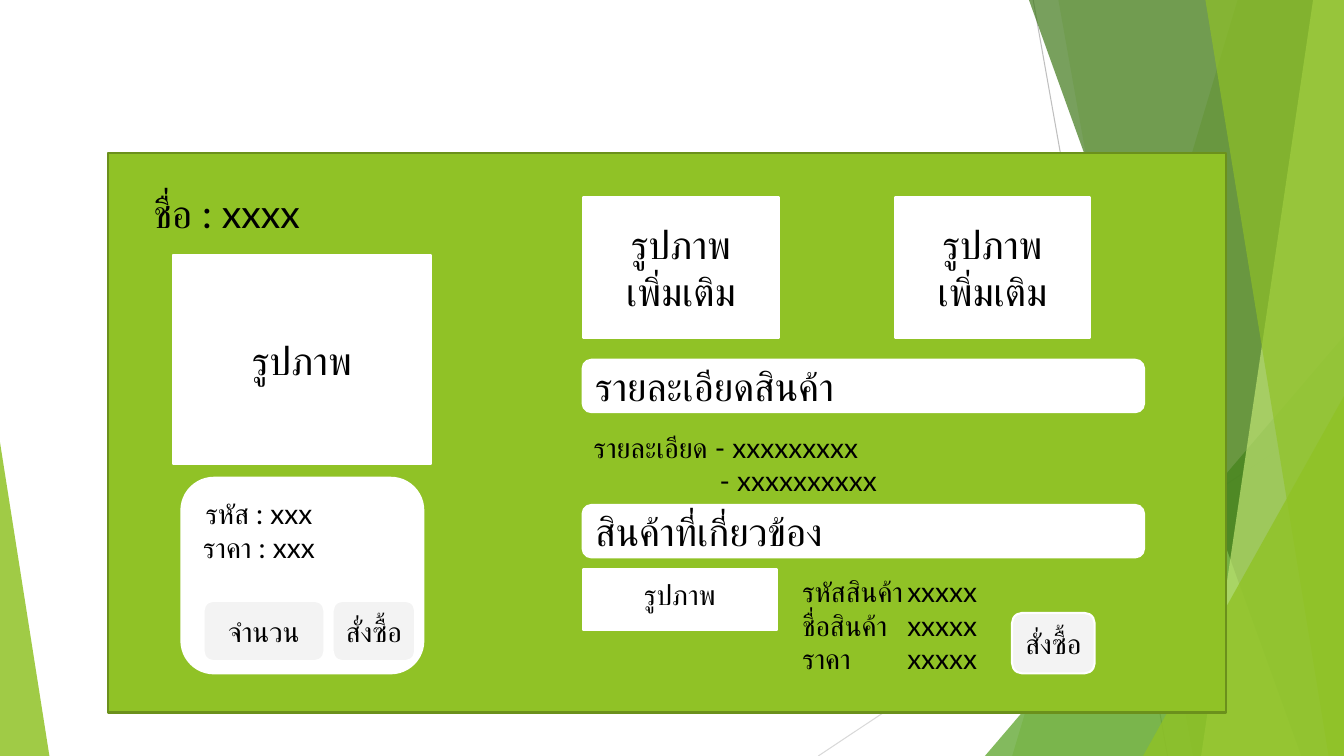
import pptx
import pptx.util
import pptx.dml.color
import pptx.enum.shapes
import pptx.enum.text
import pptx.oxml
import pptx.oxml.ns

Pt = pptx.util.Pt
RGB = pptx.dml.color.RGBColor
qn = pptx.oxml.ns.qn
KIND = pptx.enum.shapes.MSO_SHAPE
ALIGN = pptx.enum.text.PP_ALIGN
ANCHOR = pptx.enum.text.MSO_ANCHOR

WHITE = RGB(0xFF, 0xFF, 0xFF)
BLACK = RGB(0x00, 0x00, 0x00)
LIME = RGB(0x90, 0xC2, 0x26)
OLIVE = RGB(0x6B, 0x90, 0x1C)
LEAF = RGB(0x54, 0xA0, 0x21)
PINE = RGB(0x3F, 0x78, 0x19)
PALE = RGB(0xC0, 0xE4, 0x74)
MIST = RGB(0xF3, 0xF3, 0xF3)
GREY = RGB(0xBF, 0xBF, 0xBF)
SILVER = RGB(0xD9, 0xD9, 0xD9)

WIDE, HIGH = 960, 540
BIG, SMALL = 28, 20


class Page:
    """Draw styled elements on one slide, with lengths in points."""

    def __init__(self, slide, font="Lato"):
        self.shapes = slide.shapes
        self.font = font

    def line(self, x1, y1, x2, y2, color):
        line = self.shapes.add_connector(
            pptx.enum.shapes.MSO_CONNECTOR.STRAIGHT, Pt(x1), Pt(y1), Pt(x2), Pt(y2))
        line.line.color.rgb = color
        line.line.width = Pt(0.75)
        props = line._element.spPr
        props.append(props.makeelement(qn("a:effectLst")))

    def paint(self, shape, fill, edge=None, alpha=100):
        shape.shadow.inherit = False
        shape.fill.solid()
        shape.fill.fore_color.rgb = fill
        if alpha < 100:
            tint = shape._element.spPr.find(qn("a:solidFill"))[0]
            tint.append(tint.makeelement(qn("a:alpha"), {"val": str(alpha * 1000)}))
        if edge is None:
            shape.line.fill.background()
        else:
            shape.line.color.rgb = edge
            shape.line.width = Pt(1.5)

    def band(self, top, low, fill, alpha):
        form = self.shapes.build_freeform(Pt(top), 0, scale=1.0)
        form.add_line_segments(
            [(Pt(WIDE), 0), (Pt(WIDE), Pt(HIGH)), (Pt(low), Pt(HIGH))], close=True)
        self.paint(form.convert_to_shape(), fill, alpha=alpha)

    def wedge(self, x, y, w, apex, fill, alpha):
        shape = self.shapes.add_shape(
            KIND.ISOSCELES_TRIANGLE, Pt(x), Pt(y), Pt(w), Pt(HIGH - y))
        shape.adjustments[0] = apex
        self.paint(shape, fill, alpha=alpha)

    def label(self, shape, rows, size, align, anchor, lift=0):
        frame = shape.text_frame
        frame.word_wrap = True
        frame.vertical_anchor = anchor
        frame.margin_bottom = Pt(3.6 + lift)
        for i, row in enumerate(rows):
            para = frame.add_paragraph() if i else frame.paragraphs[0]
            para.text = row
            para.alignment = align
            para.font.size = Pt(size)
            para.font.name = self.font
            para.font.color.rgb = BLACK
            base = para._p.pPr.find(qn("a:defRPr"))
            base.append(base.makeelement(qn("a:cs"), {"typeface": self.font}))
        return frame

    def box(self, x, y, w, h, rows=(), size=BIG, kind=KIND.RECTANGLE, fill=WHITE,
            edge=WHITE, align=ALIGN.CENTER, lift=0):
        shape = self.shapes.add_shape(kind, Pt(x), Pt(y), Pt(w), Pt(h))
        self.paint(shape, fill, edge)
        if rows:
            self.label(shape, rows, size, align, ANCHOR.MIDDLE, lift)

    def pill(self, x, y, w, text):
        self.box(x, y, w, 43.2, [text], SMALL, KIND.ROUNDED_RECTANGLE, MIST)

    def head(self, y, text):
        self.box(416.2, y, 401, 37.4, [text], BIG, KIND.ROUNDED_RECTANGLE,
                 align=ALIGN.LEFT)

    def note(self, x, y, w, h, rows, size=SMALL, align=ALIGN.LEFT):
        shape = self.shapes.add_textbox(Pt(x), Pt(y), Pt(w), Pt(h))
        return self.label(shape, rows, size, align, ANCHOR.TOP)

    def indent(self, para, left):
        para._p.get_or_add_pPr().set("marL", str(Pt(left)))

    def tab(self, para, stop):
        props = para._p.get_or_add_pPr()
        tabs = props.makeelement(qn("a:tabLst"))
        tabs.append(tabs.makeelement(qn("a:tab"), {"pos": str(Pt(stop)), "algn": "l"}))
        props.find(qn("a:defRPr")).addprevious(tabs)


def main():
    deck = pptx.Presentation()
    deck.slide_width, deck.slide_height = Pt(WIDE), Pt(HIGH)
    page = Page(deck.slides.add_slide(deck.slide_layouts[6]))

    page.line(738, 0, 834, HIGH, GREY)
    page.line(WIDE, 290, 584.5, HIGH, SILVER)
    page.band(884, 723, LIME, 30)
    page.band(756, 852, LIME, 20)
    page.wedge(703.5, 240, 256.5, 1, LEAF, 72)
    page.band(735, 929.5, PINE, 70)
    page.band(938, 858, PALE, 70)
    page.band(861, 949, LIME, 65)
    page.wedge(816.5, 283, 143.5, 1, LIME, 80)
    page.wedge(0, 316, 35.3, 0, LIME, 85)

    page.box(77, 109.4, 798.5, 399.6, fill=LIME, edge=OLIVE)
    page.note(54, 131.8, 216, 41, ["ชื่อ : xxxx"], BIG, ALIGN.CENTER)
    page.box(123.5, 182.2, 184.3, 149, ["รูปภาพ"])
    page.box(129.6, 341.3, 172.8, 139.7, kind=KIND.ROUNDED_RECTANGLE)
    page.note(77, 351.4, 216, 55.4, ["รหัส : xxx", "ราคา : xxx"], align=ALIGN.CENTER)
    page.pill(237.6, 429.1, 59, "สั่งซื้อ")
    page.pill(145.4, 429.1, 86.4, "จำนวน")

    for x, w in ((416.2, 140.4), (639.4, 139)):
        page.box(x, 141.1, w, 100, ["รูปภาพ", "เพิ่มเติม"])
    page.head(257, "รายละเอียดสินค้า")
    lines = page.note(417, 303.8, 268, 55.4, ["รายละเอียด - xxxxxxxxx", "- xxxxxxxxxx"])
    page.indent(lines.paragraphs[1], 90)
    page.head(360.7, "สินค้าที่เกี่ยวข้อง")
    page.box(416.2, 406.8, 139, 43.2, ["รูปภาพ"], SMALL, lift=8)
    facts = page.note(566, 406.8, 150, 80, [
        "รหัสสินค้า\txxxxx", "ชื่อสินค้า\txxxxx", "ราคา\txxxxx"])
    for para in facts.paragraphs:
        page.tab(para, 75)
    page.pill(722.9, 437.8, 59, "สั่งซื้อ")

    deck.save("out.pptx")


if __name__ == "__main__":
    main()
